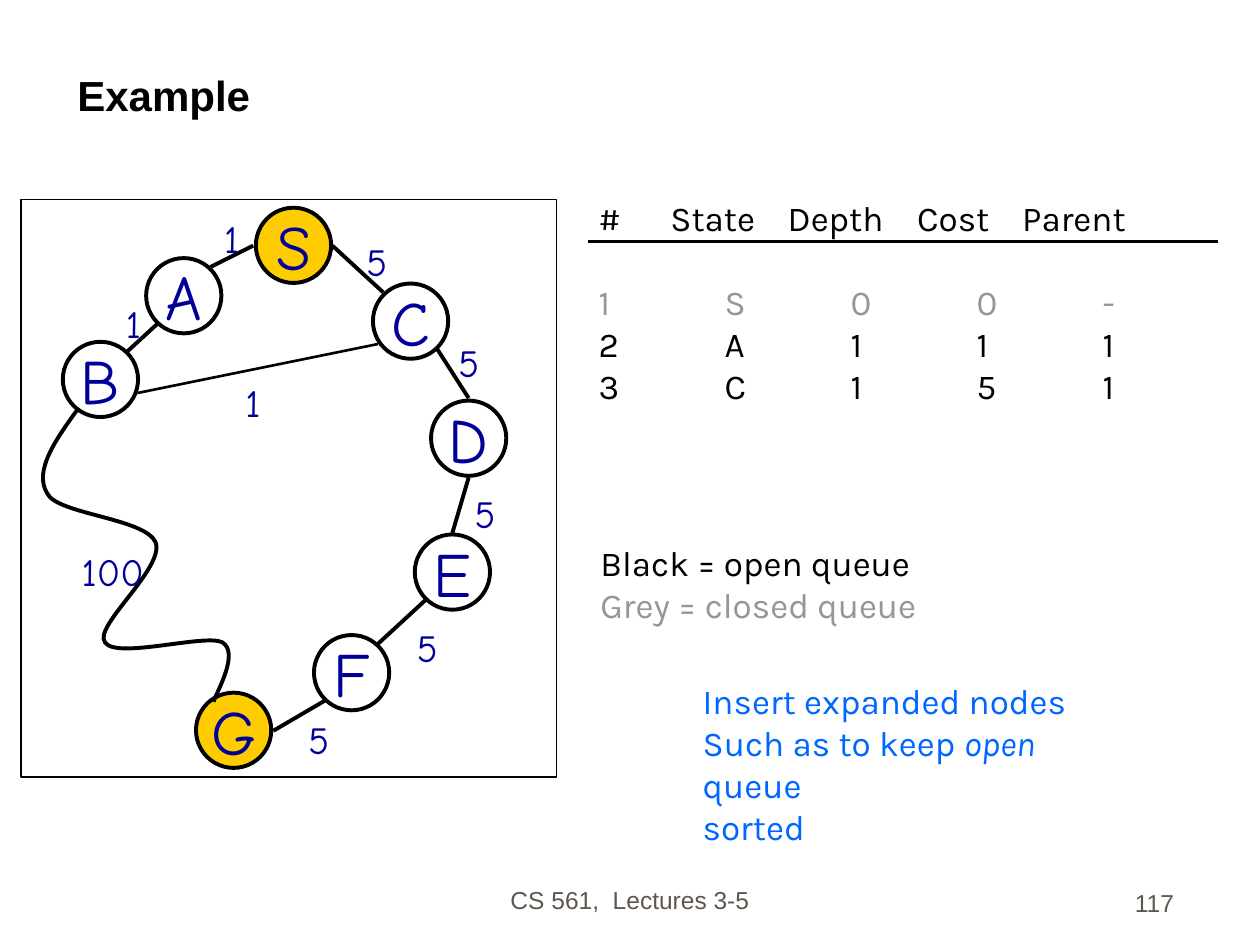
from dataclasses import dataclass
from typing import NamedTuple

from lxml import etree
from pptx import Presentation
from pptx import util as u
from pptx.dml.color import RGBColor
from pptx.enum import shapes, text
from pptx.oxml.ns import qn

Pt = u.Pt
Align, Anchor, Fit = text.PP_ALIGN, text.MSO_ANCHOR, text.MSO_AUTO_SIZE


@dataclass(frozen=True)
class Theme:
    black: str = "000000"
    white: str = "FFFFFF"
    gold: str = "FFCC00"
    navy: str = "000099"
    blue: str = "0066FF"
    grey: str = "969696"
    brown: str = "5E574E"
    sans: str = "Arial"
    body: str = "Karla"
    hand: str = "Comic Neue"
    title: int = 24
    list: int = 20
    foot: int = 14
    node: int = 36
    cost: int = 22
    thick: float = 2.25
    thin: float = 0.75


T = Theme()


class Node(NamedTuple):
    name: str
    x: float
    y: float
    fill: str = T.white


class Edge(NamedTuple):
    x1: float
    y1: float
    x2: float
    y2: float
    width: float = T.thick


class Cost(NamedTuple):
    label: str
    x: float
    y: float


class Line(NamedTuple):
    text: str
    color: str = T.black
    before: float = 0
    tabs: tuple = ()


RADIUS = 21.5
NODES = [
    Node("G", 133.5, 417.3, T.gold), Node("D", 267.8, 250.4),
    Node("E", 258.5, 326.9), Node("F", 200.9, 384.4),
    Node("S", 167.7, 140.2, T.gold), Node("A", 105, 169),
    Node("C", 234.6, 183.5), Node("B", 57.4, 216.8),
]
EDGES = [
    Edge(144.7, 140.4, 120.2, 152.6), Edge(190, 140.4, 218.9, 167),
    Edge(90, 185, 72.7, 200.9), Edge(78.5, 224.6, 216, 196.6, 1.5),
    Edge(249.8, 199.4, 267.8, 227.5), Edge(267.8, 272.9, 258.5, 304.6),
    Edge(243.4, 342.7, 216, 367.9), Edge(185.8, 400.3, 156.2, 417.6),
]
COSTS = [
    Cost("1", 121, 119.5), Cost("5", 202.3, 132.5), Cost("1", 64.8, 167.8),
    Cost("1", 133.2, 213.1), Cost("5", 254.9, 190.1),
    Cost("5", 264.2, 276.5), Cost("5", 231.1, 352.8),
    Cost("5", 169.2, 405.4), Cost("100", 39.6, 309.6),
]
WIDTHS = {"1": 24.5, "5": 28, "100": 51}
# Start point, then three Bezier points for each piece of the path B to G
CURVE = [
    (45.4, 233.3),
    (32.4, 251.3), (19.4, 268.6), (26.6, 281.5),
    (33.1, 294.5), (82.8, 295.9), (88.6, 310.3),
    (94.3, 324.7), (53.3, 357.8), (59.8, 367.2),
    (66.2, 377.3), (116.6, 362.2), (126.7, 367.2),
    (136.8, 373), (123.8, 395.3), (121.7, 401),
]
HEAD_TABS = (41, 108, 182, 242)
ROW_TABS = (72, 144, 216, 288)
QUEUE = [
    Line("#\tState\tDepth\tCost\tParent", tabs=HEAD_TABS),
    Line("1\tS\t0\t0\t-", T.grey, before=24, tabs=ROW_TABS),
    Line("2\tA\t1\t1\t1", tabs=ROW_TABS),
    Line("3\tC\t1\t5\t1", tabs=ROW_TABS),
]


def rgb(code: str) -> RGBColor:
    return RGBColor.from_string(code)


def set_tabs(para, stops: tuple) -> None:
    tabs = etree.SubElement(para._p.get_or_add_pPr(), qn("a:tabLst"))
    for stop in stops:
        etree.SubElement(tabs, qn("a:tab"), pos=str(Pt(stop)), algn="l")


def write(shape, lines: list, *, size: float, font: str, align=Align.LEFT,
          anchor=Anchor.TOP, wrap=True, fit=Fit.NONE, bold=False) -> None:
    """Fill a shape with lines; text between asterisks is italic."""
    frame = shape.text_frame
    frame.word_wrap, frame.auto_size = wrap, fit
    frame.vertical_anchor = anchor
    for i, line in enumerate(lines):
        para = frame.add_paragraph() if i else frame.paragraphs[0]
        para.alignment = align
        if line.tabs:
            set_tabs(para, line.tabs)
        if line.before:
            para.space_before = Pt(line.before)
        for j, part in enumerate(line.text.split("*")):
            run = para.add_run()
            run.text = part
            run.font.size, run.font.name = Pt(size), font
            run.font.bold, run.font.italic = bold, j % 2 == 1
            run.font.color.rgb = rgb(line.color)


def add_box(host, x: float, y: float, w: float, h: float, lines: list,
            **form) -> None:
    box = host.add_textbox(Pt(x), Pt(y), Pt(w), Pt(h))
    write(box, lines, **form)


def stroke(shape, width: float) -> None:
    shape.line.color.rgb = rgb(T.black)
    shape.line.width = Pt(width)


def add_solid(host, kind, x: float, y: float, w: float, h: float,
              fill: str, width: float):
    shape = host.add_shape(kind, Pt(x), Pt(y), Pt(w), Pt(h))
    shape.shadow.inherit = False
    shape.fill.solid()
    shape.fill.fore_color.rgb = rgb(fill)
    stroke(shape, width)
    return shape


def add_node(host, node: Node) -> None:
    disc = add_solid(host, shapes.MSO_SHAPE.OVAL, node.x - RADIUS,
                     node.y - RADIUS, 2 * RADIUS, 2 * RADIUS,
                     node.fill, T.thick)
    write(disc, [Line(node.name, T.navy)], size=T.node, font=T.hand,
          align=Align.CENTER, anchor=Anchor.MIDDLE, wrap=False)


def add_edge(host, edge: Edge) -> None:
    ends = [Pt(v) for v in edge[:4]]
    line = host.add_connector(shapes.MSO_CONNECTOR.STRAIGHT, *ends)
    stroke(line, edge.width)
    etree.SubElement(line._element.spPr, qn("a:effectLst"))


def add_curve(host, points: list) -> None:
    """Draw a polygon line, then join each three segments into one Bezier."""
    form = host.build_freeform(*points[0], scale=float(Pt(1)))
    form.add_line_segments(points[1:], close=False)
    shape = form.convert_to_shape()
    shape.shadow.inherit = False
    shape.fill.background()
    stroke(shape, T.thick)
    legs = list(shape._element.iter(qn("a:lnTo")))
    for i in range(0, len(legs), 3):
        bend = etree.Element(qn("a:cubicBezTo"))
        legs[i].addprevious(bend)
        for leg in legs[i:i + 3]:
            bend.append(leg[0])
            leg.getparent().remove(leg)


def add_graph(slide) -> None:
    host = slide.shapes.add_group_shape().shapes
    add_solid(host, shapes.MSO_SHAPE.RECTANGLE, 12, 114, 306, 330,
              T.white, T.thin)
    for node in NODES:
        add_node(host, node)
    add_curve(host, CURVE)
    for edge in EDGES:
        add_edge(host, edge)
    for cost in COSTS:
        add_box(host, cost.x, cost.y, WIDTHS[cost.label], 33.8,
                [Line(cost.label, T.navy)], size=T.cost, font=T.hand,
                wrap=False, fit=Fit.SHAPE_TO_FIT_TEXT)


def main() -> None:
    deck = Presentation()
    deck.slide_width, deck.slide_height = Pt(720), Pt(540)
    slide = deck.slides.add_slide(deck.slide_layouts[5])
    host = slide.shapes
    head = host.title
    head.left, head.top, head.width, head.height = map(Pt, (37, 18, 642, 54))
    write(head, [Line("Example")], size=T.title, font=T.sans,
          anchor=Anchor.BOTTOM, bold=True)
    foot = dict(size=T.foot, font=T.sans, anchor=Anchor.BOTTOM)
    add_box(host, 246, 490, 228, 36, [Line("CS 561,\u00a0 Lectures 3-5".replace("\u00a0", " "), T.brown)],
            align=Align.CENTER, **foot)
    add_box(host, 528, 492, 150, 36, [Line("117", T.brown)],
            align=Align.RIGHT, **foot)
    add_graph(slide)
    body = dict(size=T.list, font=T.body)
    add_box(host, 335, 109, 359, 127, QUEUE, **body)
    add_edge(host, Edge(336, 138, 696, 138))
    add_box(host, 394.5, 384.5, 260, 104, [
        Line("Insert expanded nodes", T.blue),
        Line("Such as to keep *open* queue", T.blue),
        Line("sorted", T.blue)], **body)
    add_box(host, 336, 306, 198, 55, [
        Line("Black = open queue"),
        Line("Grey = closed queue", T.grey)], wrap=False, **body)
    deck.save("out.pptx")


if __name__ == "__main__":
    main()
